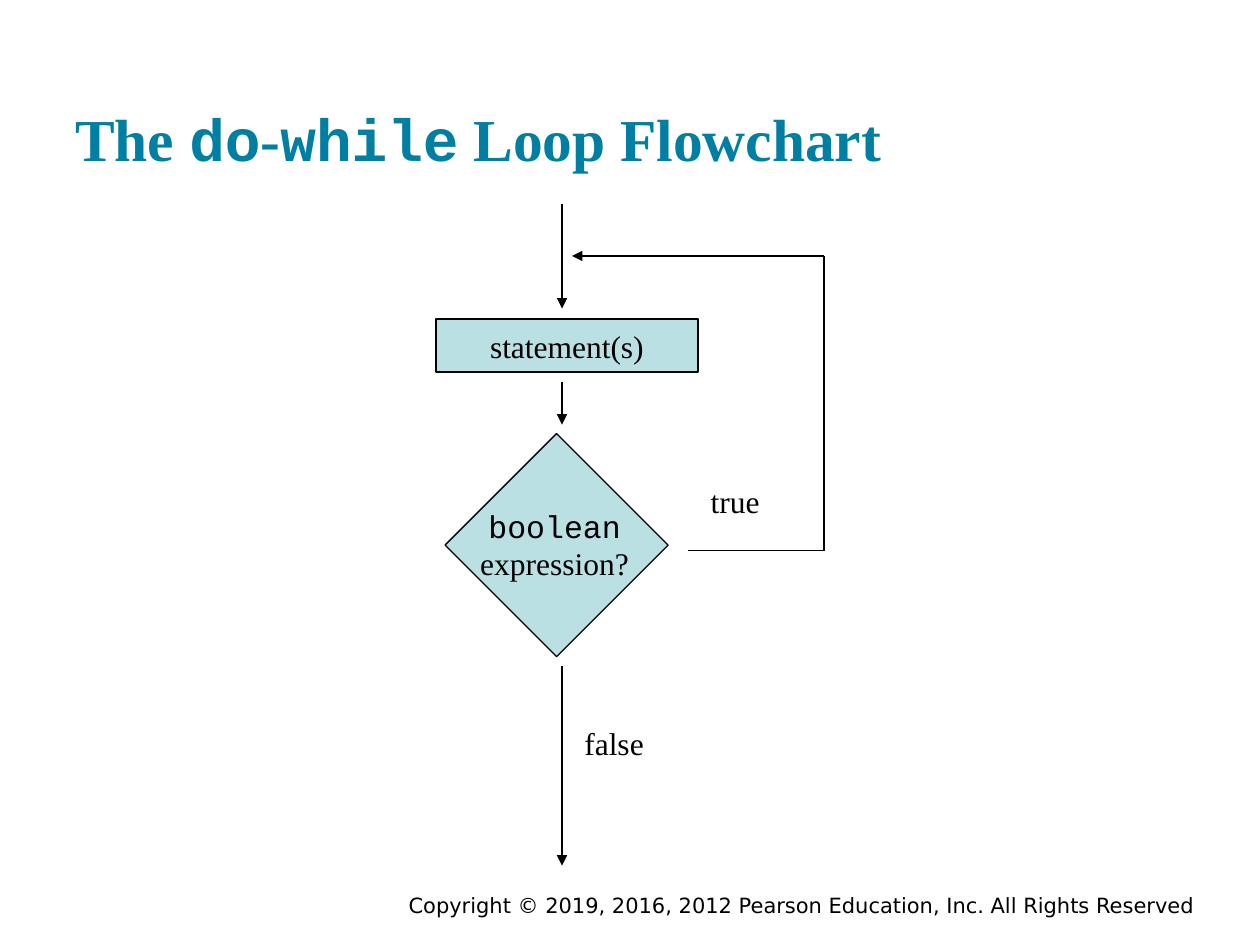
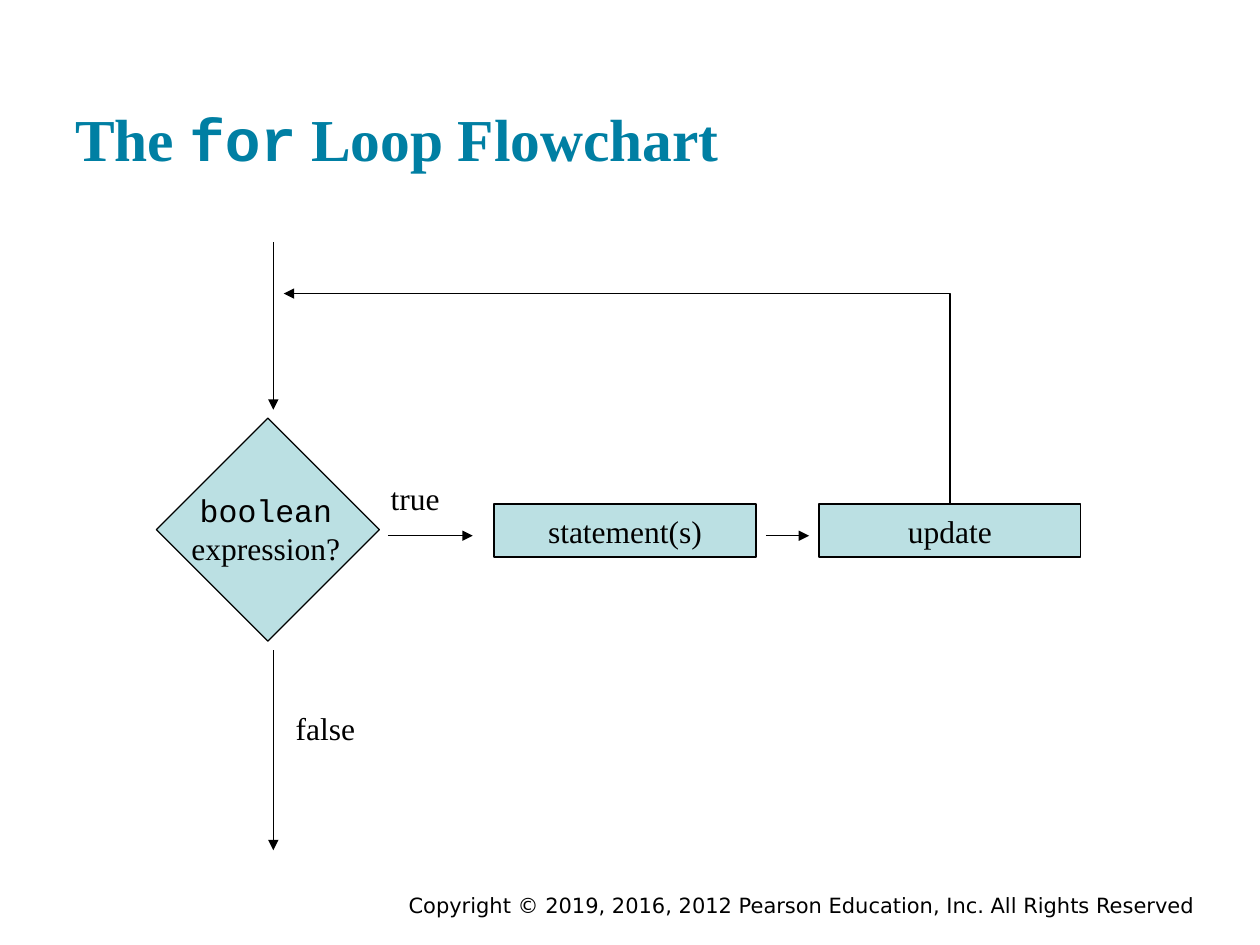
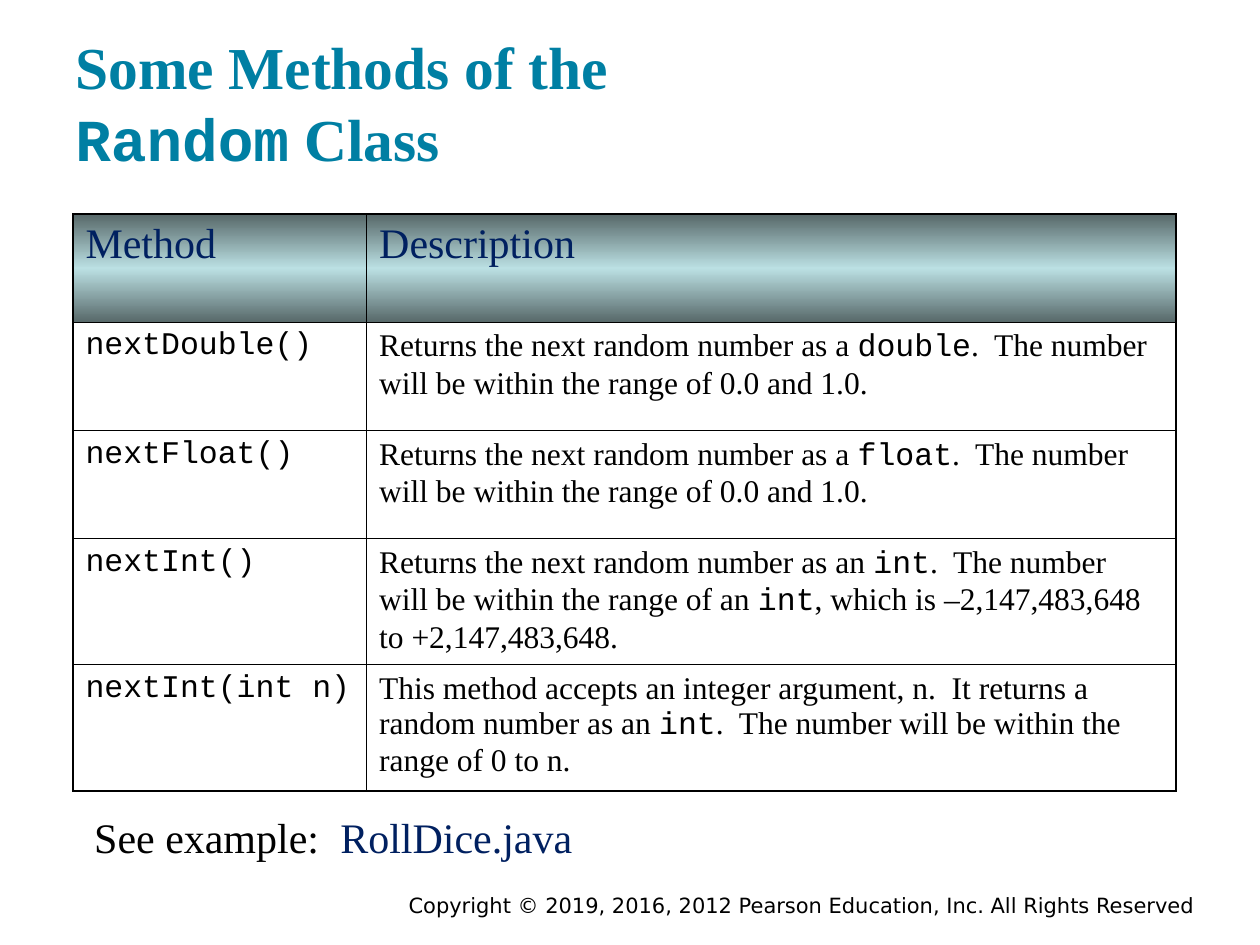
from dataclasses import dataclass

from pptx import Presentation
from pptx.dml.color import RGBColor
from pptx.enum.shapes import MSO_CONNECTOR, MSO_SHAPE
from pptx.enum.text import MSO_ANCHOR, PP_ALIGN
from pptx.oxml import parse_xml
from pptx.oxml.ns import nsdecls, qn
from pptx.util import Cm, Pt

STRAIGHT, ELBOW = MSO_CONNECTOR.STRAIGHT, MSO_CONNECTOR.ELBOW
RECT = MSO_SHAPE.RECTANGLE
TOP, MIDDLE, BOTTOM = MSO_ANCHOR.TOP, MSO_ANCHOR.MIDDLE, MSO_ANCHOR.BOTTOM
LEFT, CENTER, RIGHT = PP_ALIGN.LEFT, PP_ALIGN.CENTER, PP_ALIGN.RIGHT

SERIF, MONO, SANS = "Times New Roman", "Courier New", "DejaVu Sans"
BLACK, WHITE, TEAL, NAVY = "000000", "FFFFFF", "007FA3", "002060"
PALE, SLATE = "BBE0E3", "576869"
NOTICE = "Copyright © 2019, 2016, 2012 Pearson Education, Inc. All Rights Reserved"


@dataclass(frozen=True)
class Box:
    """A place on the slide, in centimetres."""
    left: float
    top: float
    width: float
    height: float

    def cm(self) -> tuple:
        return Cm(self.left), Cm(self.top), Cm(self.width), Cm(self.height)


@dataclass(frozen=True)
class Style:
    size: float
    color: str = BLACK
    font: str = SERIF
    bold: bool = False
    align: PP_ALIGN = LEFT


@dataclass(frozen=True)
class Arrow:
    start: tuple[float, float]
    end: tuple[float, float]
    tip: bool = True


TITLE = Style(34, TEAL, bold=True)
FOOTER = Style(12, font=SANS, align=RIGHT)
LABEL = Style(18, align=CENTER)
BODY = Style(18)
HEAD = Style(24, NAVY)
NOTE = Style(24)

TITLE_BOX = Box(1.27, 0.69, 22.86, 3.05)
FOOT_BOX = Box(4.45, 17.86, 19.89, 0.56)
STEP_W, STEP_H = 5.28, 1.07
SIDE = 3.18


def rgb(code: str) -> RGBColor:
    return RGBColor.from_string(code)


# Text: words between backticks are set as code
def add_runs(par, text: str, style: Style) -> None:
    par.alignment = style.align
    for i, part in enumerate(text.split("`")):
        for j, line in enumerate(part.split("\n")):
            if j:
                par.add_line_break()
            if line:
                run = par.add_run()
                run.text = line
                font = run.font
                font.name = MONO if i % 2 else style.font
                font.size = Pt(style.size)
                font.bold = style.bold
                font.color.rgb = rgb(style.color)


def add_text(slide, box: Box, lines: list[str], style: Style,
             anchor=TOP, wrap: bool = True):
    frame = slide.shapes.add_textbox(*box.cm()).text_frame
    frame.word_wrap = wrap
    frame.vertical_anchor = anchor
    for i, line in enumerate(lines):
        par = frame.add_paragraph() if i else frame.paragraphs[0]
        add_runs(par, line, style)
    return frame


def add_label(slide, box: Box, *lines: str) -> None:
    add_text(slide, box, list(lines), LABEL, wrap=False)


def new_slide(deck, title: str):
    slide = deck.slides.add_slide(deck.slide_layouts[6])
    add_text(slide, FOOT_BOX, [NOTICE], FOOTER)
    frame = add_text(slide, TITLE_BOX, [title], TITLE, BOTTOM)
    frame.margin_top = frame.margin_bottom = Cm(0.25)
    return slide


# Flowchart parts
def add_rect(slide, box: Box):
    shape = slide.shapes.add_shape(RECT, *box.cm())
    shape.shadow.inherit = False
    shape.fill.solid()
    shape.fill.fore_color.rgb = rgb(PALE)
    shape.line.color.rgb = rgb(BLACK)
    shape.line.width = Pt(0.75)
    return shape


def add_step(slide, left: float, top: float, text: str) -> None:
    frame = add_rect(slide, Box(left, top, STEP_W, STEP_H)).text_frame
    frame.word_wrap = False
    frame.vertical_anchor = MIDDLE
    add_runs(frame.paragraphs[0], text, LABEL)


def add_line(slide, arrow: Arrow, kind=STRAIGHT):
    points = [Cm(v) for v in arrow.start + arrow.end]
    line = slide.shapes.add_connector(kind, *points)
    line.line.color.rgb = rgb(BLACK)
    line.line.width = Pt(0.75)
    props = line._element.spPr
    if arrow.tip:
        props.find(qn("a:ln")).append(
            parse_xml(f'<a:tailEnd {nsdecls("a")} type="triangle"/>'))
    props.append(parse_xml(f'<a:effectLst {nsdecls("a")}/>'))
    return line


def add_bend(slide, arrow: Arrow) -> None:
    """Go up from the start, then left to the end: a quarter-turned elbow."""
    (x1, y1), (x2, y2) = arrow.start, arrow.end
    mid_x, mid_y = (x1 + x2) / 2, (y1 + y2) / 2
    half_w, half_h = (y1 - y2) / 2, (x1 - x2) / 2
    turned = Arrow((mid_x - half_w, mid_y + half_h),
                   (mid_x + half_w, mid_y - half_h))
    props = add_line(slide, turned, ELBOW)._element.spPr
    props.find(qn("a:xfrm")).set("rot", "16200000")
    props.find(qn("a:prstGeom")).set("prst", "bentConnector2")


def add_test(slide, left: float, top: float) -> None:
    """Diamond with its wording and the way out below it."""
    add_rect(slide, Box(left, top, SIDE, SIDE)).rotation = 45
    add_label(slide, Box(left - 0.2, top + 0.69, 3.5, 1.78),
              "`boolean`", "expression?")
    axis = left + 1.7
    add_line(slide, Arrow((axis, top + 4.02), (axis, top + 8.05)))
    add_label(slide, Box(left + 1.9, top + 5.08, 1.7, 1.02), "false")


def add_true(slide, left: float, top: float) -> None:
    add_label(slide, Box(left, top, 1.5, 1.02), "true")


# Table parts
def set_edge(props, side: str, width: float) -> None:
    props.append(parse_xml(
        f'<a:ln{side} {nsdecls("a")} w="{Pt(width)}"><a:solidFill>'
        f'<a:srgbClr val="{BLACK}"/></a:solidFill></a:ln{side}>'))


def set_blend(props) -> None:
    stops = "".join(
        f'<a:gs pos="{pos}"><a:srgbClr val="{code}"/></a:gs>'
        for pos, code in ((0, SLATE), (50000, PALE), (100000, SLATE)))
    props.append(parse_xml(
        f'<a:gradFill {nsdecls("a")} rotWithShape="1"><a:gsLst>{stops}'
        '</a:gsLst><a:lin ang="5400000" scaled="0"/></a:gradFill>'))


def add_grid(slide, box: Box, cols: list[float], rows: list[float],
             data: list[tuple[str, str]]) -> None:
    table = slide.shapes.add_table(len(rows), len(cols), *box.cm()).table
    table.first_row = table.horz_banding = False
    for col, width in zip(table.columns, cols):
        col.width = Cm(width)
    for row, height in zip(table.rows, rows):
        row.height = Cm(height)
    for r, texts in enumerate(data):
        for c, text in enumerate(texts):
            cell = table.cell(r, c)
            add_runs(cell.text_frame.paragraphs[0], text, BODY if r else HEAD)
            props = cell._tc.get_or_add_tcPr()
            outer = {"L": c == 0, "R": c == len(cols) - 1,
                     "T": r == 0, "B": r == len(rows) - 1}
            for side, edge in outer.items():
                set_edge(props, side, 1.08 if edge else 0.45)
            if r:
                cell.fill.solid()
                cell.fill.fore_color.rgb = rgb(WHITE)
            else:
                set_blend(props)


# Slides
def do_while(deck) -> None:
    slide = new_slide(deck, "The `do`-`while` Loop Flowchart")
    axis, back, low, high = 11.33, 16.61, 11.1, 5.16
    add_step(slide, 8.79, 6.43, "statement(s)")
    add_test(slide, 9.63, 9.4)
    add_true(slide, 14.07, 9.6)
    for arrow in (
        Arrow((axis, 4.11), (axis, 6.22)),
        Arrow((axis, 7.7), (axis, 8.56)),
        Arrow((13.87, low), (back, low), False),
        Arrow((back, low), (back, high), False),
        Arrow((back, high), (11.53, high)),
    ):
        add_line(slide, arrow)


def for_loop(deck) -> None:
    slide = new_slide(deck, "The `for` Loop Flowchart")
    axis, row, flow = 5.51, 10.16, 10.8
    add_test(slide, 3.81, 9.09)
    add_true(slide, 7.62, 9.53)
    add_step(slide, 9.96, row, "statement(s)")
    add_step(slide, 16.51, row, "update")
    for arrow in (
        Arrow((axis, 4.88), (axis, 8.26)),
        Arrow((7.82, flow), (9.53, flow)),
        Arrow((15.44, flow), (16.31, flow)),
    ):
        add_line(slide, arrow)
    add_bend(slide, Arrow((19.15, row), (5.72, 5.92)))


def methods(deck) -> None:
    slide = new_slide(deck, "Some Methods of the \n`Random` Class")
    limits = ".  The number will be within the range of 0.0 and 1.0."
    lead = "Returns the next random number as a"
    data = [
        ("Method", "Description"),
        ("`nextDouble()`", f"{lead} `double`{limits}"),
        ("`nextFloat()`", f"{lead} `float`{limits}"),
        ("`nextInt()`",
         f"{lead}n `int`.  The number will be within the range of an `int`, "
         "which is –2,147,483,648 to +2,147,483,648."),
        ("`nextInt(int n)`",
         "This method accepts an integer argument, n.  It returns a random "
         "number as an `int`.  The number will be within the range of 0 to n."),
    ]
    add_grid(slide, Box(1.47, 4.32, 22.23, 11.62), [5.92, 16.31],
             [2.18] * 3 + [2.54] * 2, data)
    frame = add_text(slide, Box(1.65, 16.23, 12.7, 1.27),
                     ["See example:  "], NOTE)
    add_runs(frame.paragraphs[0], "RollDice.java", HEAD)


def main() -> None:
    deck = Presentation()
    deck.slide_width, deck.slide_height = Cm(25.4), Cm(19.05)
    do_while(deck)
    for_loop(deck)
    methods(deck)
    deck.save("out.pptx")


if __name__ == "__main__":
    main()
